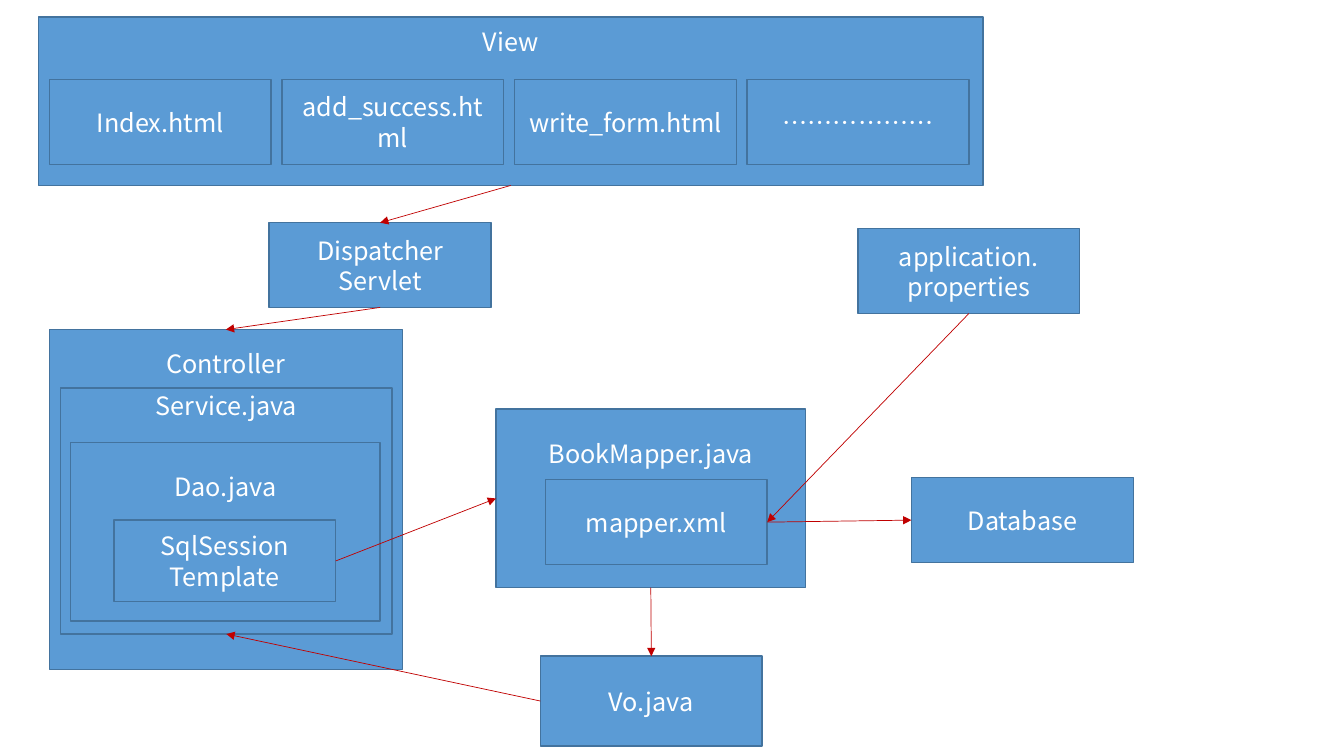
import pptx
import pptx.dml.color
import pptx.enum.shapes
import pptx.enum.text
import pptx.oxml.ns
import pptx.util
from lxml import etree

Inches = pptx.util.Inches
Pt = pptx.util.Pt
TOP, LEFT, BOTTOM, RIGHT = range(4)


def rgb(value):
    return pptx.dml.color.RGBColor.from_string(value)


class Diagram:
    """Holds the style and the current slide of a box-and-arrow diagram."""

    fill, border, arrow, ink = "5B9BD5", "43739E", "C00000", "FFFFFF"
    font = {"name": "Noto Sans CJK KR", "size": Pt(18)}

    def __init__(self, s):
        self.s = s

    def box(self, text, x, y, w=2.2, h=0.84, title_inset=None):
        sp = self.s.shapes.add_shape(
            pptx.enum.shapes.MSO_SHAPE.RECTANGLE,
            Inches(x), Inches(y), Inches(w), Inches(h))
        sp.shadow.inherit = False
        sp.fill.solid()
        sp.fill.fore_color.rgb = rgb(self.fill)
        sp.line.color.rgb = rgb(self.border)
        sp.line.width = Pt(1)
        tf = sp.text_frame
        anchor = pptx.enum.text.MSO_ANCHOR
        frame = {"word_wrap": True, "vertical_anchor": anchor.MIDDLE}
        if title_inset is not None:
            frame.update(vertical_anchor=anchor.TOP,
                         margin_top=Inches(title_inset))
        for key, value in frame.items():
            setattr(tf, key, value)
        tf.text = text
        for p in tf.paragraphs:
            p.alignment = pptx.enum.text.PP_ALIGN.CENTER
            for r in p.runs:
                for key, value in self.font.items():
                    setattr(r.font, key, value)
                r.font.color.rgb = rgb(self.ink)
                ea = etree.SubElement(r.font._element,
                                      pptx.oxml.ns.qn("a:ea"))
                ea.set("typeface", self.font["name"])
        return sp

    def link(self, start, start_site, end, end_site):
        c = self.s.shapes.add_connector(
            pptx.enum.shapes.MSO_CONNECTOR.STRAIGHT, 0, 0, 0, 0)
        c.begin_connect(start, start_site)
        c.end_connect(end, end_site)
        c.line.color.rgb = rgb(self.arrow)
        c.line.width = Pt(0.5)
        qn = pptx.oxml.ns.qn
        etree.SubElement(c.line._get_or_add_ln(), qn("a:tailEnd"),
                         type="triangle")
        etree.SubElement(c._element.spPr, qn("a:effectLst"))


prs = pptx.Presentation()
prs.slide_width, prs.slide_height = Inches(13.33), Inches(7.5)
d = Diagram(prs.slides.add_slide(prs.slide_layouts[6]))

view = d.box("View", 0.38, 0.17, 9.37, 1.67, title_inset=0.09)
pages = ["Index.html", "add_success.html", "write_form.html", "…" * 6]
for i, page in enumerate(pages):
    d.box(page, 0.49 + i * 2.307, 0.79)

dispatcher = d.box("Dispatcher Servlet", 2.67, 2.21)
controller = d.box("Controller", 0.49, 3.27, 3.5, 3.37, title_inset=0.19)
service = d.box("Service.java", 0.6, 3.85, 3.29, 2.44, title_inset=0.02)
d.box("Dao.java", 0.7, 4.39, 3.07, 1.77, title_inset=0.29)
session = d.box("SqlSession Template", 1.13, 5.16, h=0.81)
book_mapper = d.box("BookMapper.java", 4.92, 4.06, 3.07, 1.77,
                    title_inset=0.29)
mapper_xml = d.box("mapper.xml", 5.41, 4.76)
vo = d.box("Vo.java", 5.36, 6.51, h=0.89)
database = d.box("Database", 9.04, 4.74)
properties = d.box("application.\nproperties", 8.51, 2.27)

for ends in [
    (view, BOTTOM, dispatcher, TOP),
    (dispatcher, BOTTOM, controller, TOP),
    (session, RIGHT, book_mapper, LEFT),
    (mapper_xml, RIGHT, database, LEFT),
    (properties, BOTTOM, mapper_xml, RIGHT),
    (book_mapper, BOTTOM, vo, TOP),
    (vo, LEFT, service, BOTTOM),
]:
    d.link(*ends)

prs.save("out.pptx")
